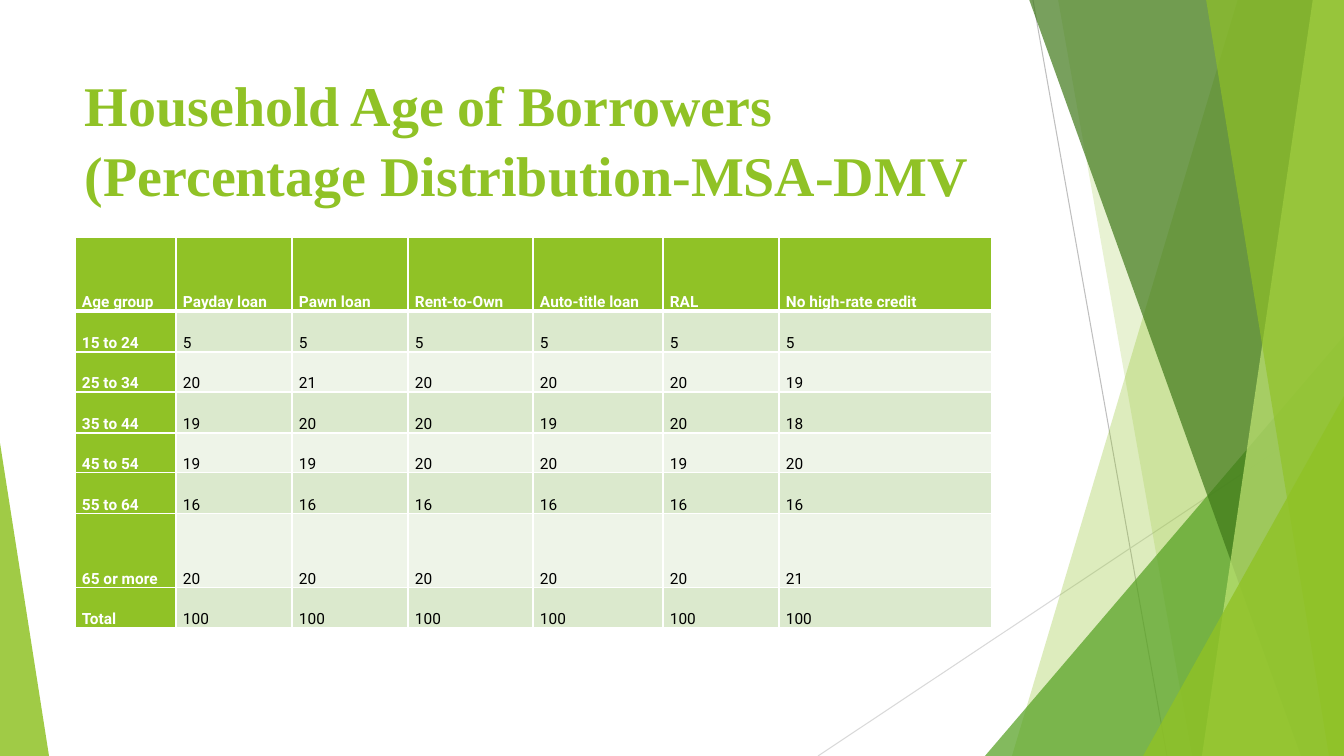
from lxml import etree
from pptx import Presentation, util as u
from pptx.dml.color import RGBColor
from pptx.enum import shapes, text
from pptx.oxml.ns import qn

SCALE = 12192000 / 1344
COLORS = {
    "lime": "90C226", "green": "54A021", "forest": "3F7819", "pale": "C0E474",
    "odd": "DBE9CD", "even": "EEF4E8", "white": "FFFFFF", "black": "000000",
    "gray": "BFBFBF", "silver": "D9D9D9",
}
WIDTHS = [101, 116, 116, 125, 130, 116, 213]
HEIGHTS = [74, 41, 40, 41, 40, 41, 74, 40]
ROWS = [
    ["Age group", "Payday loan", "Pawn loan", "Rent-to-Own", "Auto-title loan", "RAL", "No high-rate credit"],
    ["15 to 24", 5, 5, 5, 5, 5, 5],
    ["25 to 34", 20, 21, 20, 20, 20, 19],
    ["35 to 44", 19, 20, 20, 19, 20, 18],
    ["45 to 54", 19, 19, 20, 20, 19, 20],
    ["55 to 64", 16, 16, 16, 16, 16, 16],
    ["65 or more", 20, 20, 20, 20, 20, 21],
    ["Total", 100, 100, 100, 100, 100, 100],
]


def px(*values):
    return [u.Emu(round(value * SCALE)) for value in values]


def rgb(name):
    return RGBColor.from_string(COLORS[name])


def paint(shape, color, alpha):
    shape.shadow.inherit = False
    shape.fill.solid()
    shape.fill.fore_color.rgb = rgb(color)
    shape.line.fill.background()
    tone = shape.fill._xPr.find(qn("a:solidFill"))[0]
    etree.SubElement(tone, qn("a:alpha"), val=str(alpha * 1000))


def add_line(slide, ends, color):
    line = slide.shapes.add_connector(shapes.MSO_CONNECTOR.STRAIGHT, *px(*ends))
    line.line.color.rgb = rgb(color)
    line.line.width = u.Pt(0.75)
    etree.SubElement(line._element.spPr, qn("a:effectLst"))


def add_band(slide, left, right, foot, color, alpha):
    pen = slide.shapes.build_freeform(left, -1, scale=SCALE)
    pen.add_line_segments([(right, -1), (right, 756), (foot, 756)], close=True)
    paint(pen.convert_to_shape(), color, alpha)


def add_peak(slide, box, tip, color, alpha):
    peak = slide.shapes.add_shape(shapes.MSO_SHAPE.ISOSCELES_TRIANGLE, *px(*box))
    peak.adjustments[0] = tip
    paint(peak, color, alpha)


def style(para, font, size, color, bold, space):
    para.line_spacing = space
    for run in para.runs:
        run.font.name = font
        run.font.size = u.Pt(size)
        run.font.bold = bold
        run.font.color.rgb = rgb(color)


def add_title(slide, words):
    frame = slide.shapes.add_textbox(*px(75, 68, 948, 145)).text_frame
    frame.word_wrap = True
    frame.vertical_anchor = text.MSO_ANCHOR.BOTTOM
    frame.text = words
    style(frame.paragraphs[0], "Times New Roman", 40, "lime", True, 1.04)


def add_edge(cell, side, width):
    edge = etree.SubElement(cell._tc.get_or_add_tcPr(), qn("a:ln" + side), w=str(u.Pt(width)))
    fill = etree.SubElement(edge, qn("a:solidFill"))
    etree.SubElement(fill, qn("a:srgbClr"), val=COLORS["white"])


def fill_cell(cell, row, col, value):
    head = row == 0 or col == 0
    cell.text_frame.text = str(value)
    style(cell.text_frame.paragraphs[0], "Roboto", 11, "white" if head else "black", head, 1.07)
    cell.vertical_anchor = text.MSO_ANCHOR.BOTTOM
    cell.margin_left = cell.margin_right = px(7)[0]
    cell.margin_top = cell.margin_bottom = 0
    thick = {"T": 1, "B": 0}
    for side in "LRTB":
        add_edge(cell, side, 3 if thick.get(side) == row else 1)
    cell.fill.solid()
    cell.fill.fore_color.rgb = rgb("lime" if head else "odd" if row % 2 else "even")


def add_table(slide):
    box = px(75, 237, sum(WIDTHS), sum(HEIGHTS))
    table = slide.shapes.add_table(len(ROWS), len(WIDTHS), *box).table
    for col, width in zip(table.columns, px(*WIDTHS)):
        col.width = width
    for row, height in zip(table.rows, px(*HEIGHTS)):
        row.height = height
    for row, values in enumerate(ROWS):
        for col, value in enumerate(values):
            fill_cell(table.cell(row, col), row, col, value)


def add_decor(slide):
    add_line(slide, (1033, 0, 1167, 756), "gray")
    add_line(slide, (1344, 406, 818, 756), "silver")
    add_band(slide, 1238, 1344, 1012, "lime", 30)
    add_band(slide, 1058, 1344, 1192, "lime", 20)
    add_peak(slide, (985, 336, 359, 420), 1, "green", 72)
    add_band(slide, 1029, 1344, 1301, "forest", 70)
    add_band(slide, 1313, 1344, 1202, "pale", 70)
    add_band(slide, 1206, 1344, 1329, "lime", 65)
    add_peak(slide, (1143, 396, 201, 360), 1, "lime", 80)
    add_peak(slide, (0, 443, 49, 313), 0, "lime", 85)


def main():
    deck = Presentation()
    deck.slide_width, deck.slide_height = px(1344, 756)
    slide = deck.slides.add_slide(deck.slide_layouts[6])
    add_decor(slide)
    add_title(slide, "Household Age of Borrowers (Percentage Distribution-MSA-DMV")
    add_table(slide)
    deck.save("out.pptx")


main()
